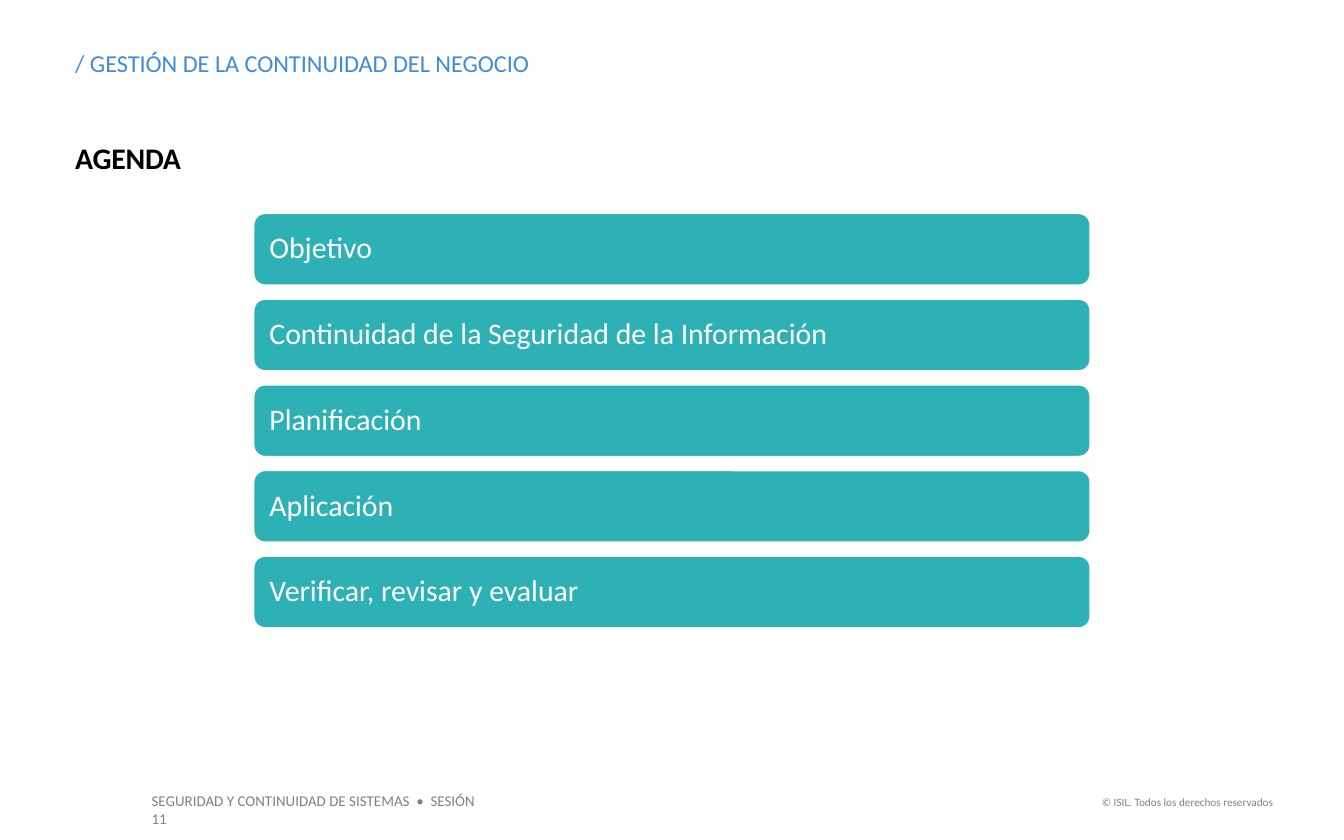
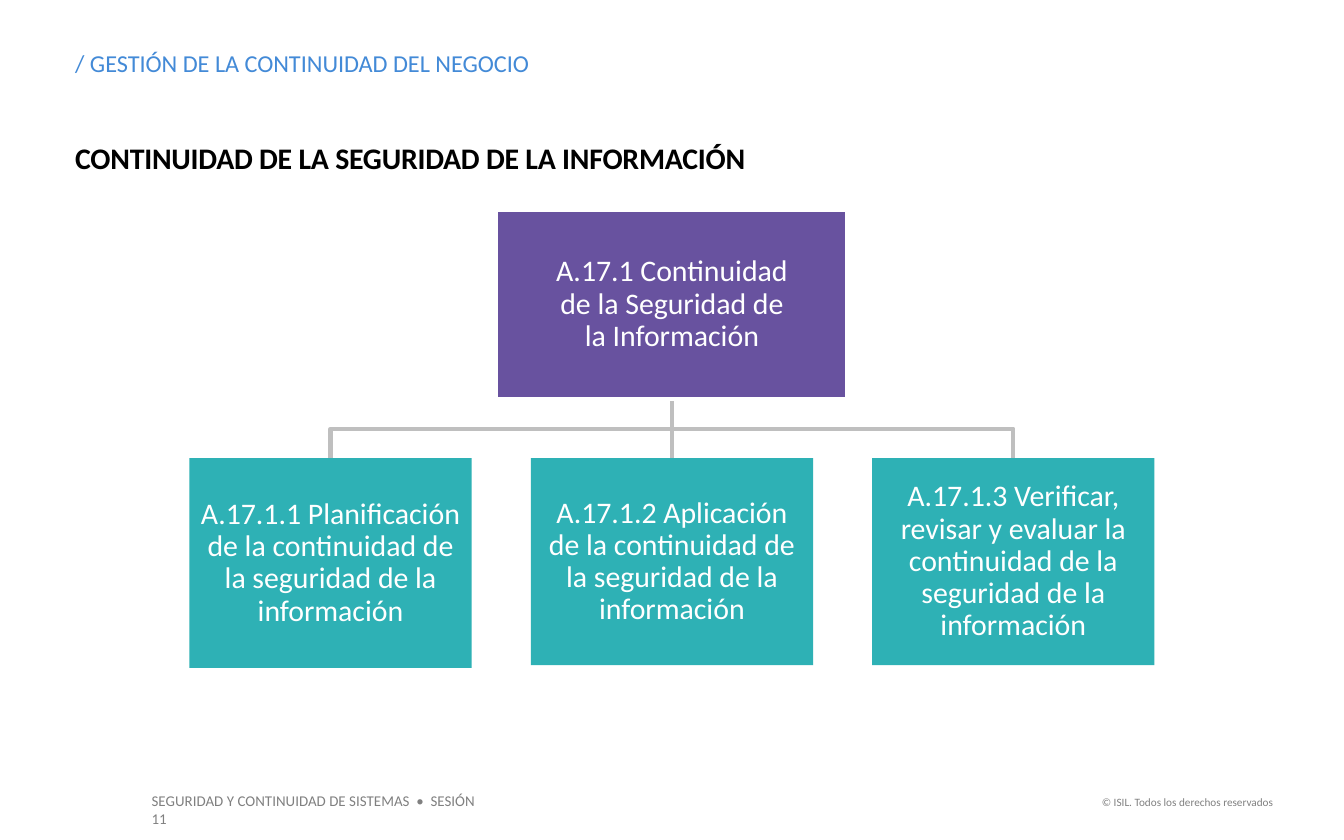
import pptx
import pptx.util
import pptx.dml.color
import pptx.enum.shapes
import pptx.enum.text
import pptx.oxml.ns
import lxml.etree

Inches = pptx.util.Inches
Pt = pptx.util.Pt
RGBColor = pptx.dml.color.RGBColor
SHAPE = pptx.enum.shapes.MSO_SHAPE
ALIGN = pptx.enum.text.PP_ALIGN
MIDDLE = pptx.enum.text.MSO_ANCHOR.MIDDLE

FONT = "Calibri"
WHITE = RGBColor(0xFF, 0xFF, 0xFF)
BLACK = RGBColor(0, 0, 0)
GRAY = RGBColor(0x80, 0x80, 0x80)
SILVER = RGBColor(0xBF, 0xBF, 0xBF)
BLUE = RGBColor(0x43, 0x8A, 0xD7)
TEAL = RGBColor(0x2E, 0xB1, 0xB5)
PURPLE = RGBColor(0x68, 0x52, 0x9F)

TOPIC = "/ GESTIÓN DE LA CONTINUIDAD DEL NEGOCIO"
COURSE = "SEGURIDAD Y CONTINUIDAD DE SISTEMAS  •  SESIÓN 11"
RIGHTS = "© ISIL. Todos los derechos reservados"

AGENDA = [
    "Objetivo",
    "Continuidad de la Seguridad de la Información",
    "Planificación",
    "Aplicación",
    "Verificar, revisar y evaluar",
]
ROOT = "A.17.1 Continuidad\nde la Seguridad de\nla Información"
LEAVES = [
    ("A.17.1.1 Planificación de la continuidad de\n"
     "la seguridad de la información", 1.56),
    ("A.17.1.2 Aplicación\nde la continuidad de\n"
     "la seguridad de la información", 1.54),
    ("A.17.1.3 Verificar, revisar y evaluar la continuidad "
     "de la seguridad de la información", 1.54),
]


def write(shape, text, size, color, inset=(0, 0, 0, 0), align=ALIGN.LEFT):
    """Fill a shape with one paragraph; inset is left, top, right, bottom."""
    frame = shape.text_frame
    frame.word_wrap = True
    (frame.margin_left, frame.margin_top,
     frame.margin_right, frame.margin_bottom) = map(Inches, inset)
    para = frame.paragraphs[0]
    para.text = text
    para.alignment = align
    para.font.name = FONT
    para.font.size = Pt(size)
    para.font.color.rgb = color
    return para


def label(slide, box, *args, **style):
    return write(slide.shapes.add_textbox(*map(Inches, box)), *args, **style)


def block(slide, kind, box, fill, text, inset, align, edge=True):
    shape = slide.shapes.add_shape(kind, *map(Inches, box))
    shape.shadow.inherit = False
    shape.fill.solid()
    shape.fill.fore_color.rgb = fill
    if edge:
        shape.line.color.rgb = WHITE
        shape.line.width = Pt(2)
    else:
        shape.line.fill.background()
    para = write(shape, text, 16, WHITE, inset, align)
    para.line_spacing = 0.9
    shape.text_frame.vertical_anchor = MIDDLE
    return shape


def frame(deck, title):
    """Add a slide with the shared header, title and footer."""
    slide = deck.slides.add_slide(deck.slide_layouts[6])
    label(slide, (1.03, 5.84, 2.74, 0.24), COURSE, 8, GRAY,
          inset=(0.1, 0.05, 0.1, 0.05))
    label(slide, (8.07, 5.87, 1.5, 0.2), RIGHTS, 6, GRAY,
          inset=(0, 0.05, 0.1, 0.05), align=ALIGN.RIGHT)
    label(slide, (0.56, 0.36, 6.6, 0.22), TOPIC, 13, BLUE)
    head = label(slide, (0.56, 1.04, 8.93, 0.27), title, 16, BLACK)
    head.font.bold = True
    head.runs[0]._r.get_or_add_rPr().set("spc", "-10")
    return slide


def bars(slide, box, items):
    left, top, width, height = box
    thick = 0.55
    step = (height - thick) / (len(items) - 1)
    for i, item in enumerate(items):
        block(slide, SHAPE.ROUNDED_RECTANGLE,
              (left, top + i * step, width, thick), TEAL, item,
              (0.1, 0.1, 0.1, 0.1), ALIGN.LEFT)


def pen(line):
    line.color.rgb = SILVER
    line.width = Pt(2.25)


def elbow(slide, start, end):
    """Draw a down-across-down line between two points."""
    (x1, y1), (x2, y2) = start, end
    mid = (y1 + y2) / 2
    path = slide.shapes.build_freeform(Inches(x1), Inches(y1))
    path.add_line_segments(
        [(Inches(x), Inches(y)) for x, y in ((x1, mid), (x2, mid), (x2, y2))],
        close=False)
    shape = path.convert_to_shape()
    shape.shadow.inherit = False
    shape.fill.background()
    pen(shape.line)


def stem(slide, upper, lower):
    """Join the bottom of one block to the top of the one below."""
    line = slide.shapes.add_connector(
        pptx.enum.shapes.MSO_CONNECTOR.STRAIGHT, 0, 0, 0, 0)
    line.begin_connect(upper, 2)
    line.end_connect(lower, 0)
    pen(line.line)
    lxml.etree.SubElement(line.element.spPr, pptx.oxml.ns.qn("a:effectLst"))


def tree(slide, box, root, leaves):
    left, top, width, height = box
    wide, tall, leaf = 2.61, 1.41, 2.1
    mid = left + width / 2
    row = top + height - max(size for _, size in leaves)
    step = (width - leaf) / (len(leaves) - 1)
    inset = (0.01,) * 4
    head = block(slide, SHAPE.RECTANGLE, (mid - wide / 2, top, wide, tall),
                 PURPLE, root, inset, ALIGN.CENTER)
    for i, (text, size) in enumerate(leaves):
        x = left + i * step
        node = block(slide, SHAPE.RECTANGLE, (x, row, leaf, size),
                     TEAL, text, inset, ALIGN.CENTER, edge=False)
        if i == len(leaves) // 2:
            stem(slide, head, node)
        else:
            elbow(slide, (mid, top + tall), (x + leaf / 2, row))
    # The white edge of the root covers the line ends.
    head.element.getparent().append(head.element)


def main():
    deck = pptx.Presentation()
    deck.slide_width = Inches(10)
    deck.slide_height = Inches(6.25)
    bars(frame(deck, "AGENDA"), (1.88, 1.58, 6.24, 3.1), AGENDA)
    tree(frame(deck, "CONTINUIDAD DE LA SEGURIDAD DE LA INFORMACIÓN"),
         (1.41, 1.56, 7.18, 3.41), ROOT, LEAVES)
    deck.save("out.pptx")


if __name__ == "__main__":
    main()
